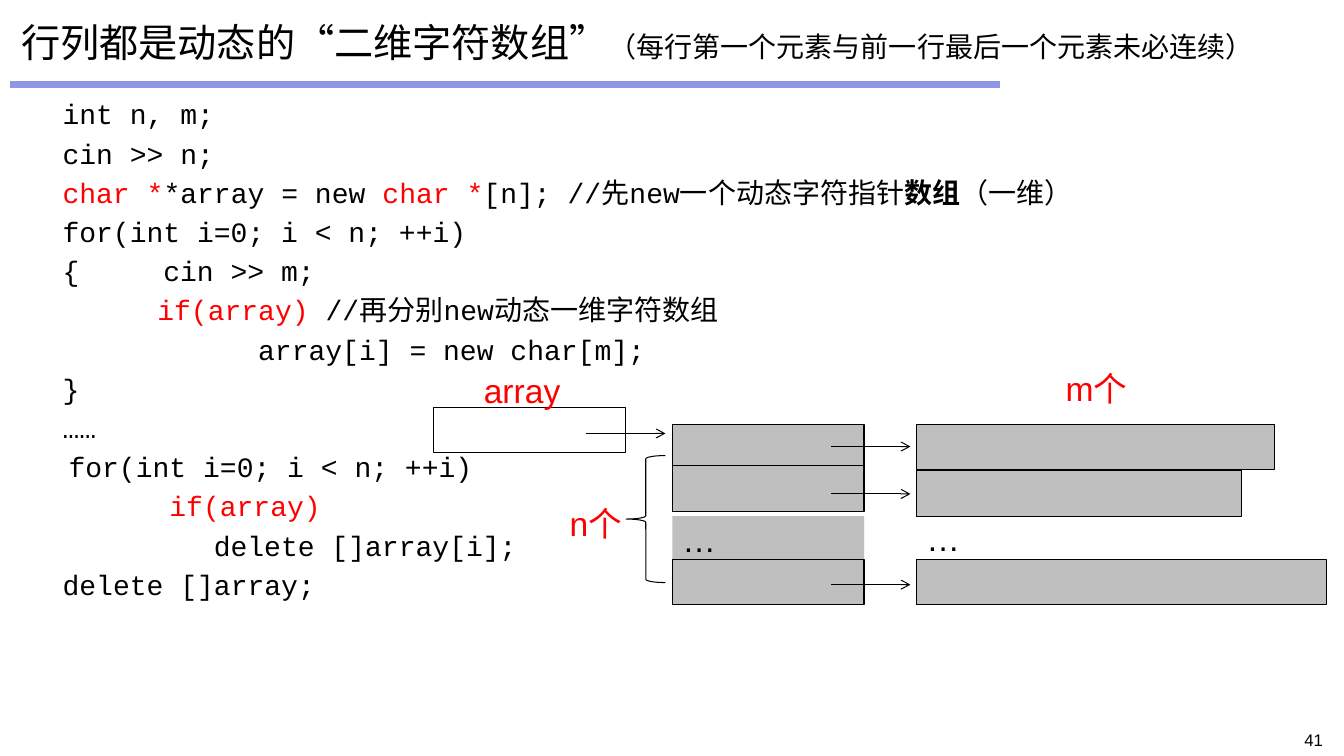
from lxml.etree import SubElement
from pptx import Presentation
from pptx.dml.color import RGBColor
from pptx.enum.shapes import MSO_CONNECTOR as CONN, MSO_SHAPE as SHAPE
from pptx.enum.text import MSO_ANCHOR as ANCHOR, MSO_AUTO_SIZE as AUTO, PP_ALIGN as ALIGN
from pptx.oxml.ns import qn
from pptx.util import Emu, Pt

PX = 9144
COLORS = {"black": "000000", "red": "FF0000", "gray": "BFBFBF", "rule": "8D97E5"}
CODE, CJK, SANS = "Courier New", "Noto Sans CJK SC", "Arial"
TITLE = [
    ("行列都是动态的", 28, CODE),
    ("“", 28, CJK),
    ("二维字符数组", 28, CODE),
    ("”", 28, CJK),
    ("（每", 20, CODE),
    ("行第一个元素与前一行最后一个元素未必连续", 20, CJK),
    ("）", 20, CODE),
]
LISTING = [
    (50, [("int n, m;", "black")]),
    (50, [("cin >> n;", "black")]),
    (50, [("char *", "red"), ("*array = new ", "black"), ("char *", "red"),
          ("[n]; //先new一个动态字符指针", "black"), ("数组", "black", True),
          ("（一维）", "black")]),
    (50, [("for(int i=0; i < n; ++i)", "black")]),
    (50, [("{\tcin >> m;", "black")]),
    (44, [("\t", "black"), ("if(array)", "red"), (" //再分别new动态一维字符数组", "black")]),
    (44, [("\t\tarray[i] = new char[m];", "black")]),
    (50, [("}", "black")]),
    (50, [("……", "black")]),
    (56, [("for(int i=0; i < n; ++i)", "black")]),
    (56, [("\tif(array)", "red")]),
    (0, [("\t\tdelete []array[i];", "black")]),
    (0, [("   delete []array;", "black")]),
]


def px(*lengths):
    """Turn px lengths into EMU."""
    return [Emu(n * PX) for n in lengths]


def rgb(name):
    """Look up a colour."""
    return RGBColor.from_string(COLORS[name])


def style(r, size, font, color="black", bold=False):
    """Format one run, for Latin and East Asian text alike."""
    r.font.size, r.font.name, r.font.bold = Pt(size), font, bold
    r.font.color.rgb = rgb(color)
    SubElement(r._r.get_or_add_rPr(), qn("a:ea")).set("typeface", font)


def add_label(s, box, text, size=24, color="black", align=ALIGN.LEFT, anchor=ANCHOR.TOP):
    """Add a one-line text box."""
    tf = s.shapes.add_textbox(*px(*box)).text_frame
    tf.word_wrap, tf.vertical_anchor = True, anchor
    tf.text = text
    tf.paragraphs[0].alignment = align
    style(tf.paragraphs[0].runs[0], size, SANS, color)


def add_line(s, x1, y1, x2, y2, color="black", width=0.75, arrow=False):
    """Add a straight line, with an arrowhead on request."""
    sp = s.shapes.add_connector(CONN.STRAIGHT, *px(x1, y1, x2, y2))
    sp.line.color.rgb, sp.line.width = rgb(color), Pt(width)
    if arrow:
        SubElement(sp.line._get_or_add_ln(), qn("a:tailEnd")).set("type", "arrow")
    SubElement(sp._element.spPr, qn("a:effectLst"))


def add_block(s, box, kind=SHAPE.RECTANGLE, fill=None, outline=True):
    """Add a preset shape with an optional fill and outline."""
    sp = s.shapes.add_shape(kind, *px(*box))
    sp.shadow.inherit = False
    if fill:
        sp.fill.solid()
        sp.fill.fore_color.rgb = rgb(fill)
    else:
        sp.fill.background()
    if outline:
        sp.line.color.rgb, sp.line.width = rgb("black"), Pt(0.75)
    else:
        sp.line.fill.background()


def add_title(s, x, y, w, h):
    """Fill the title placeholder and underline it."""
    add_line(s, x - 1, y + 76, x + 981, y + 76, "rule", 4.5)
    sp = s.shapes.title
    sp.left, sp.top, sp.width, sp.height = px(x, y, w, h)
    tf = sp.text_frame
    tf.auto_size, tf.word_wrap, tf.vertical_anchor = AUTO.NONE, True, ANCHOR.MIDDLE
    p = tf.paragraphs[0]
    p.alignment = ALIGN.LEFT
    for text, size, font in TITLE:
        r = p.add_run()
        r.text = text
        style(r, size, font)


def add_listing(s, x, y, w, h):
    """Write the program listing with tab stops every 100 px."""
    tf = s.shapes.add_textbox(*px(x, y, w, h)).text_frame
    tf.word_wrap = True
    tf.margin_left, tf.margin_top, tf.margin_right, tf.margin_bottom = px(2, 2, 2, 1)
    for i, (indent, parts) in enumerate(LISTING):
        p = tf.add_paragraph() if i else tf.paragraphs[0]
        props = p._p.get_or_add_pPr()
        props.set("marL", str(indent * PX))
        props.set("indent", "0")
        props.set("defTabSz", str(100 * PX))
        p.space_before = Pt(4 if i else 0)
        for text, *look in parts:
            r = p.add_run()
            r.text = text
            style(r, 20, CODE, *look)


def add_memory(s, x, y):
    """Draw the array pointer, its n pointers and their rows of m characters."""
    cell_w, cell_h, cells_x, rows_x = 190, 45, x + 237, x + 479
    for top, outline in ((17, True), (58, True), (108, False), (151, True)):
        add_block(s, (cells_x, y + top, cell_w, cell_h), fill="gray", outline=outline)
    for top, width in ((17, 355), (63, 322), (151, 407)):
        add_block(s, (rows_x, y + top, width, cell_h), fill="gray")
    for left, top in ((cells_x, 108), (rows_x, 107)):
        add_label(s, (left, y + top, cell_w, cell_h), "…", anchor=ANCHOR.MIDDLE)
    for left, top in ((151, 26), (394, 39), (394, 86), (394, 176)):
        add_line(s, x + left, y + top, x + left + 79, y + top, arrow=True)
    add_block(s, (x + 191, y + 48, 39, 126), SHAPE.LEFT_BRACE)
    add_block(s, (x, y, cell_w, cell_h))
    for text, left, top, width in (("array", 40, -42, 138), ("n个", 125, 90, 112),
                                   ("m个", 617, -44, 112)):
        add_label(s, (x + left, y + top, width, 51), text, color="red")


def main():
    """Build and save the slide."""
    prs = Presentation()
    prs.slide_width, prs.slide_height = px(1333, 750)
    s = prs.slides.add_slide(prs.slide_layouts[5])
    add_title(s, 11, 8, 1311, 67)
    add_listing(s, 10, 94, 1312, 651)
    add_memory(s, 430, 404)
    add_label(s, (1191, 719, 131, 25), "41", 12, align=ALIGN.RIGHT)
    prs.save("out.pptx")


if __name__ == "__main__":
    main()
